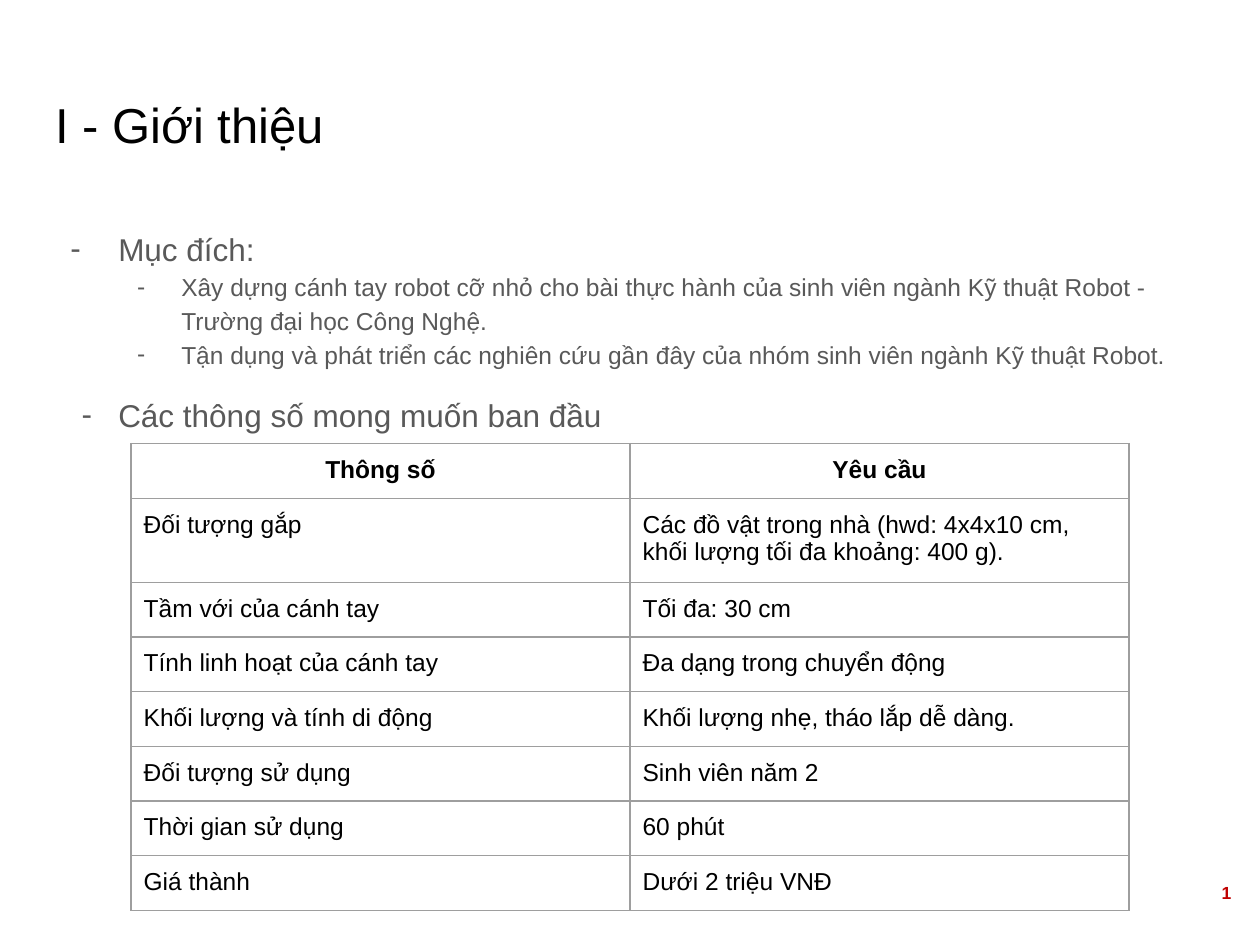
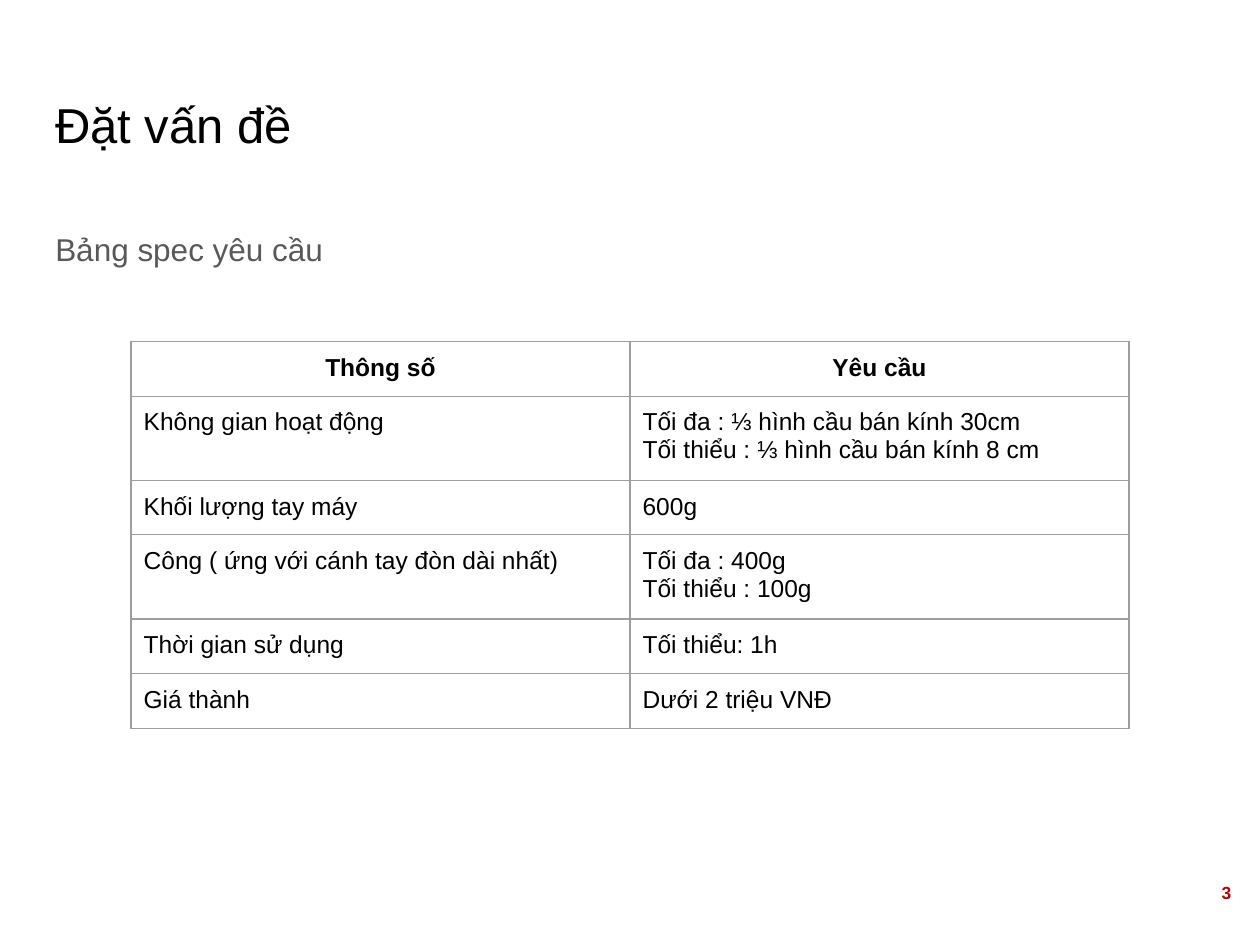
from lxml.etree import SubElement as Sub
from pptx import Presentation
from pptx.dml.color import RGBColor as RGB
from pptx.enum.text import MSO_ANCHOR as Anchor, PP_ALIGN as Align
from pptx.oxml.ns import qn
from pptx.util import Pt

PX = 9144  # EMU in one px, 100 px to the inch
FONT = "Arial"
COLOR = {"ink": "000000", "body": "595959", "rule": "9E9E9E", "page": "C00000"}
HEAD = ("Thông số", "Yêu cầu")
COL, ROW, LINE, PAD = 396, 42, 22, 10

# Body lines: text, size, left margin, hanging indent, space before, space after
SLIDES = [
    {
        "title": "I - Giới thiệu",
        "page": "1",
        "body": [
            ("Mục đích:", 18, 50, 38, 0, 0),
            ("Xây dựng cánh tay robot cỡ nhỏ cho bài thực hành của sinh viên "
             "ngành Kỹ thuật Robot - Trường đại học Công Nghệ.", 14, 100, 35, 0, 0),
            ("Tận dụng và phát triển các nghiên cứu gần đây của nhóm sinh viên "
             "ngành Kỹ thuật Robot.", 14, 100, 35, 0, 0),
            ("Các thông số mong muốn ban đầu", 18, 50, 29, 12, 0),
        ],
        "top": 352,
        "rows": [
            ("Đối tượng gắp", "Các đồ vật trong nhà (hwd: 4x4x10 cm,\n"
                              "khối lượng tối đa khoảng: 400 g)."),
            ("Tầm với của cánh tay", "Tối đa: 30 cm"),
            ("Tính linh hoạt của cánh tay", "Đa dạng trong chuyển động"),
            ("Khối lượng và tính di động", "Khối lượng nhẹ, tháo lắp dễ dàng."),
            ("Đối tượng sử dụng", "Sinh viên năm 2"),
            ("Thời gian sử dụng", "60 phút"),
            ("Giá thành", "Dưới 2 triệu VNĐ"),
        ],
    },
    {
        "title": "Đặt vấn đề",
        "page": "3",
        "body": [("Bảng spec yêu cầu", 18, 0, 0, 0, 12)],
        "top": 271,
        "rows": [
            ("Không gian hoạt động", "Tối đa : ⅓ hình cầu bán kính 30cm\n"
                                     "Tối thiểu : ⅓ hình cầu bán kính 8 cm"),
            ("Khối lượng tay máy", "600g"),
            ("Công ( ứng với cánh tay đòn dài nhất)", "Tối đa : 400g\nTối thiểu : 100g"),
            ("Thời gian sử dụng", "Tối thiểu: 1h"),
            ("Giá thành", "Dưới 2 triệu VNĐ"),
        ],
    },
]


def add_box(slide, *place):
    frame = slide.shapes.add_textbox(*(n * PX for n in place)).text_frame
    frame.word_wrap = True
    frame.margin_left = frame.margin_right = PAD * PX
    frame.margin_top = frame.margin_bottom = PAD * PX
    return frame


def add_run(para, text, size, color, bold=False):
    run = para.add_run()
    run.text = text
    font = run.font
    font.name, font.size, font.bold = FONT, Pt(size), bold
    font.color.rgb = RGB.from_string(COLOR[color])


deck = Presentation()
deck.slide_width, deck.slide_height = 1000 * PX, 750 * PX

for data in SLIDES:
    slide = deck.slides.add_slide(deck.slide_layouts[6])

    title = add_box(slide, 34, 65, 932, 83)
    add_run(title.paragraphs[0], data["title"], 28, "ink")

    body = add_box(slide, 34, 168, 932, 498)
    for i, (text, size, left, hang, before, after) in enumerate(data["body"]):
        para = body.add_paragraph() if i else body.paragraphs[0]
        para.line_spacing = 1.15
        para.space_before, para.space_after = Pt(before), Pt(after)
        if hang:
            para.level = 1 if left == 100 else 0
            props = para._p.get_or_add_pPr()
            props.set("marL", str(left * PX))
            props.set("indent", str(-hang * PX))
            tint = Sub(props, qn("a:buClr"))
            Sub(tint, qn("a:srgbClr"), val=COLOR["body"])
            Sub(props, qn("a:buFont"), typeface=FONT)
            Sub(props, qn("a:buChar"), char="-")
        add_run(para, text, size, "body")

    rows = [HEAD] + data["rows"]
    tall = [ROW + LINE * max(text.count("\n") for text in row) for row in rows]
    frame = slide.shapes.add_table(len(rows), 2, 104 * PX, data["top"] * PX,
                                   2 * COL * PX, sum(tall) * PX)
    table = frame.table
    table.first_row = table.horz_banding = False
    for col in table.columns:
        col.width = COL * PX
    for r, row in enumerate(rows):
        table.rows[r].height = tall[r] * PX
        for c, text in enumerate(row):
            cell = table.cell(r, c)
            cell.margin_left = cell.margin_right = PAD * PX
            cell.margin_top = cell.margin_bottom = PAD * PX
            props = cell._tc.get_or_add_tcPr()
            for side in "LRTB":
                edge = Sub(props, qn("a:ln" + side), w=str(Pt(0.75)))
                fill = Sub(edge, qn("a:solidFill"))
                Sub(fill, qn("a:srgbClr"), val=COLOR["rule"])
            cell.fill.background()
            for i, line in enumerate(text.split("\n")):
                words = cell.text_frame
                para = words.add_paragraph() if i else words.paragraphs[0]
                para.alignment = Align.LEFT if r else Align.CENTER
                add_run(para, line, 14, "ink", bold=r == 0)

    page = add_box(slide, 927, 680, 60, 57)
    page.vertical_anchor = Anchor.MIDDLE
    page.paragraphs[0].alignment = Align.RIGHT
    add_run(page.paragraphs[0], data["page"], 10, "page", bold=True)

deck.save("out.pptx")
